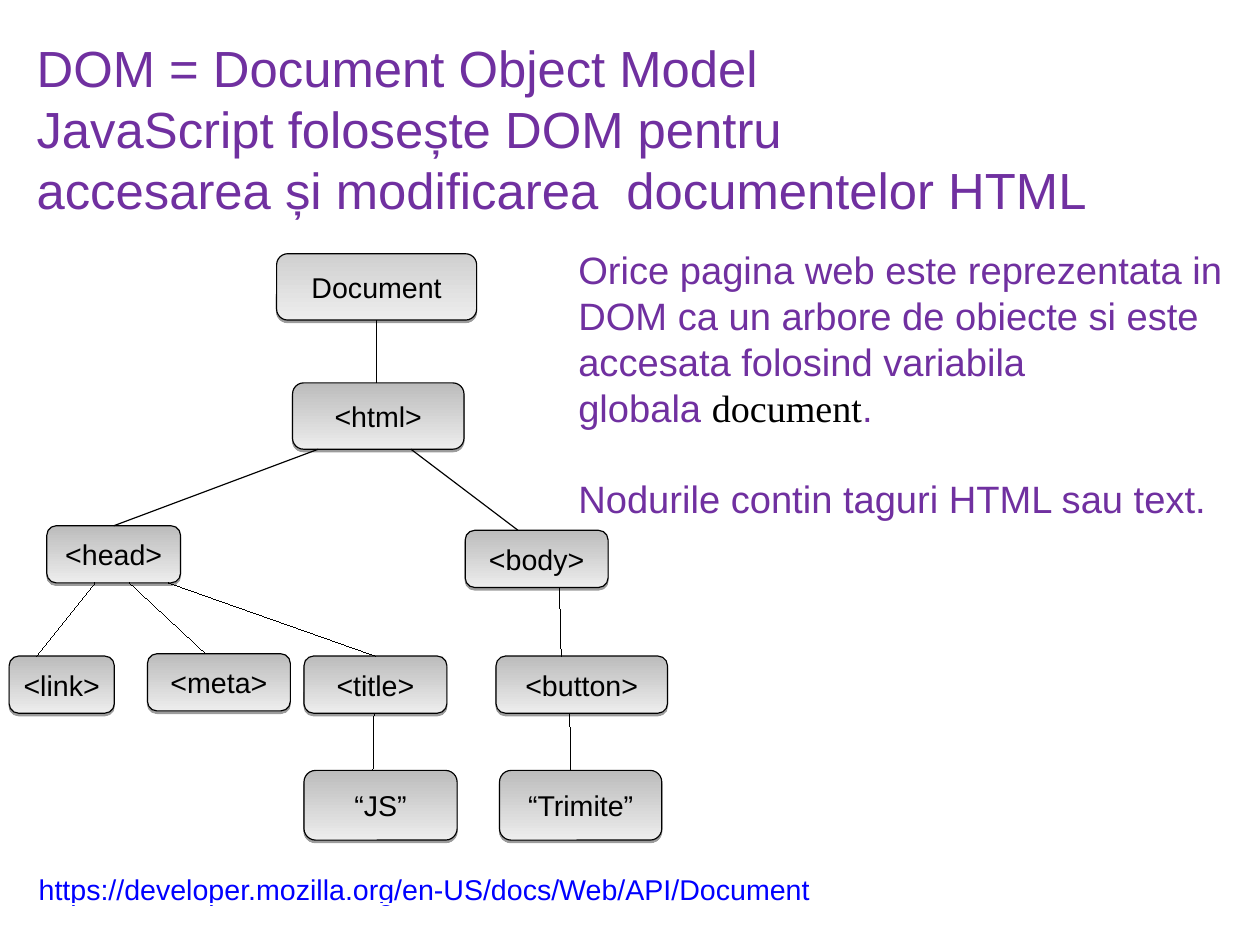
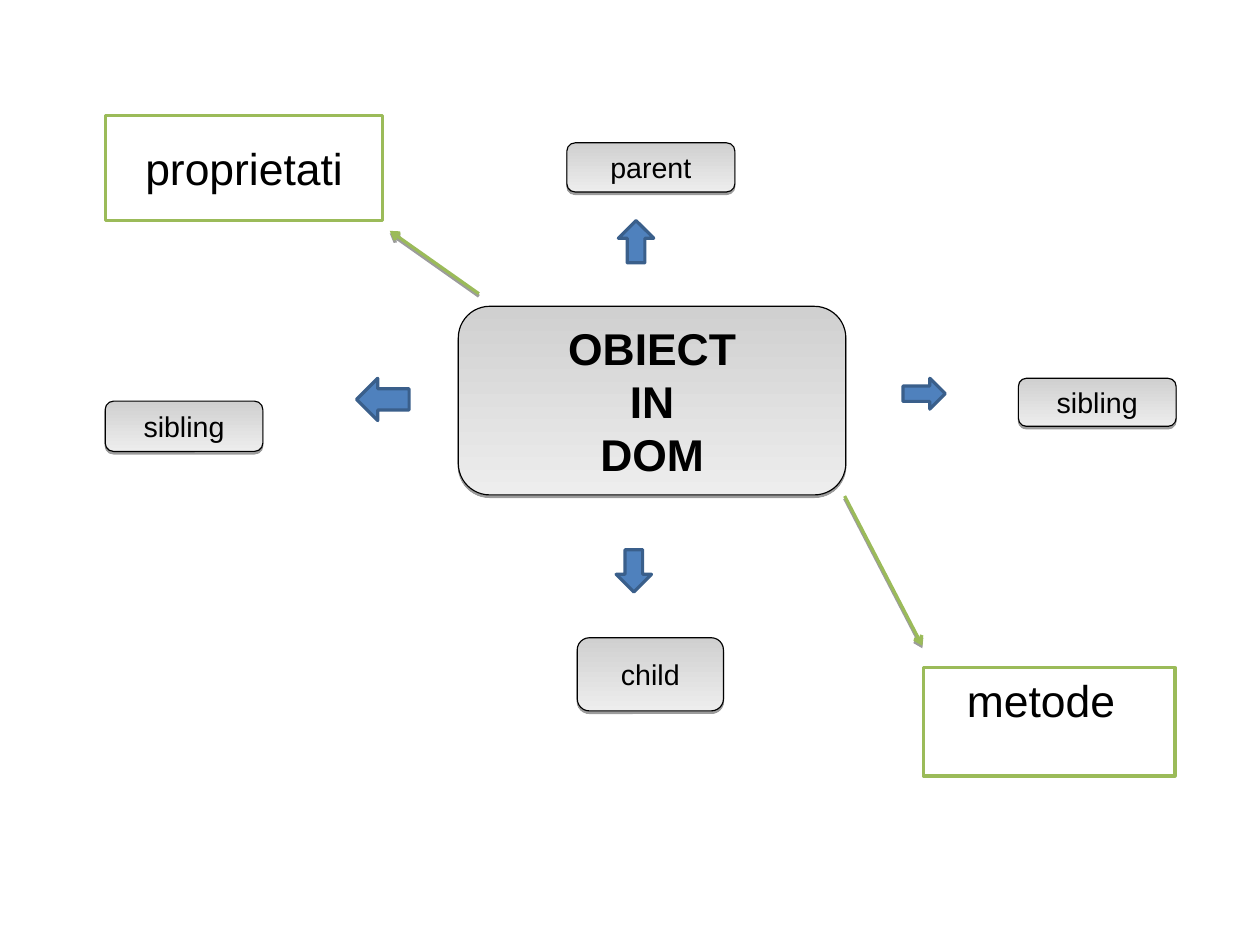
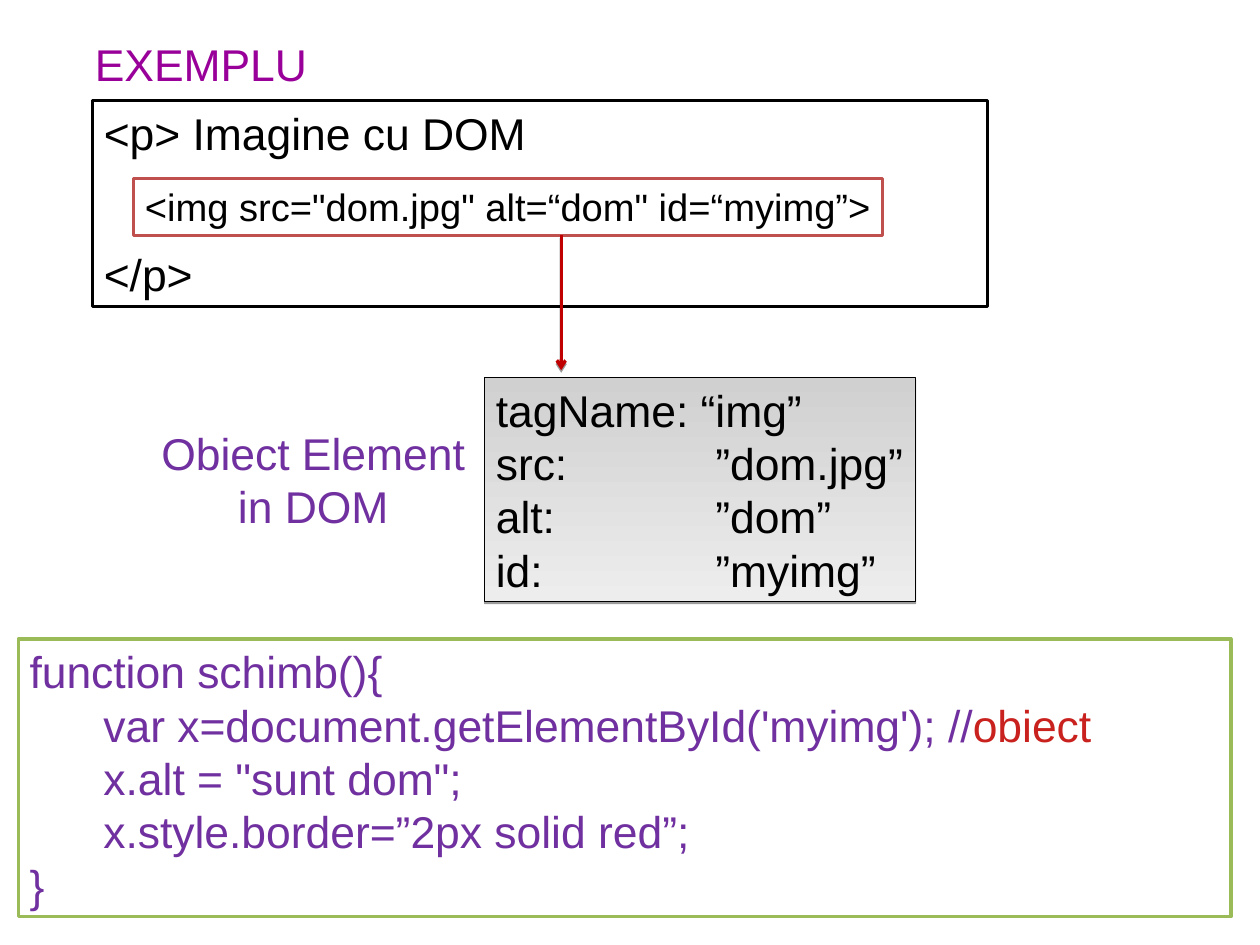
from collections import namedtuple

from lxml.etree import SubElement
from pptx import Presentation
from pptx.dml.color import RGBColor
from pptx.enum.shapes import MSO_CONNECTOR, MSO_SHAPE as SHAPE
from pptx.enum.text import MSO_ANCHOR as ANCHOR, MSO_AUTO_SIZE, PP_ALIGN as ALIGN
from pptx.oxml.ns import qn
from pptx.util import Inches, Mm, Pt

# The grid has square cells of a tenth of an inch.
CELL = 0.1
FONT, SERIF = "Arial", "Times New Roman"
BLACK, WHITE, PURPLE, MAGENTA = "000000", "FFFFFF", "7030A0", "990099"
GREEN, RED, DARK_RED, CODE_RED = "9BBB59", "C0504D", "C00000", "C9211E"
BLUE, DARK_BLUE, LINK = "4F81BD", "3A5F8B", "0000FF"
LIGHT_GREY, MID_GREY, PALE_GREY = "D0D0D0", "BCBCBC", "EDEDED"
LINE_HEIGHT = 1.2

Box = namedtuple("Box", "x y w h")


def cells(n):
    return Inches(n * CELL)


def rgb(color):
    return RGBColor.from_string(color)


def inside(box, x, y, w, h):
    """Box at an offset from the corner of another one."""
    return Box(box.x + x, box.y + y, w, h)


def place(sp, box):
    sp.left, sp.top, sp.width, sp.height = map(cells, box)


def set_effect(sp, shadow):
    """Replace the theme's effect by none, or by a thin shadow below."""
    effects = SubElement(sp.element.spPr, qn("a:effectLst"))
    if shadow:
        outer = SubElement(effects, qn("a:outerShdw"), blurRad="0",
                           dist=str(Pt(1.6)), dir="5400000", rotWithShape="0")
        clr = SubElement(outer, qn("a:srgbClr"), val=BLACK)
        SubElement(clr, qn("a:alpha"), val="38000")


def write(sp, paragraphs, size, color=BLACK, align=ALIGN.LEFT, anchor=ANCHOR.TOP,
          bold=False, wrap=True, sides=(1, 1)):
    """Fill a frame; a paragraph is a string or a list of (text, color, font)."""
    tf = sp.text_frame
    tf.auto_size, tf.word_wrap, tf.vertical_anchor = MSO_AUTO_SIZE.NONE, wrap, anchor
    tf.margin_left, tf.margin_right = map(cells, sides)
    tf.margin_top = tf.margin_bottom = cells(0.5)
    for i, runs in enumerate(paragraphs):
        p = tf.add_paragraph() if i else tf.paragraphs[0]
        p.alignment, p.line_spacing = align, Pt(size * LINE_HEIGHT)
        p.space_before = p.space_after = Pt(0)
        for text, tint, font in [(runs, color, FONT)] if isinstance(runs, str) else runs:
            r = p.add_run()
            r.text = text
            r.font.size, r.font.name, r.font.bold = Pt(size), font, bold
            r.font.color.rgb = rgb(tint)
    return tf


def add_title(s, box, lines, size, color):
    place(s.shapes.title, box)
    write(s.shapes.title, lines, size, color, sides=(1, 0))


def add_label(s, box, lines, size, color, **style):
    sp = s.shapes.add_textbox(*map(cells, box))
    return write(sp, lines, size, color, **style)


def add_panel(s, box, kind=SHAPE.RECTANGLE, fill=WHITE, line=BLACK, width=2):
    sp = s.shapes.add_shape(kind, *map(cells, box))
    if isinstance(fill, tuple):
        sp.fill.gradient()
        sp.fill.gradient_angle = 270
        for stop, color in zip(sp.fill.gradient_stops, fill):
            stop.color.rgb = rgb(color)
    else:
        sp.fill.solid()
        sp.fill.fore_color.rgb = rgb(fill)
    sp.line.color.rgb, sp.line.width = rgb(line), Pt(width)
    set_effect(sp, shadow=isinstance(fill, tuple))
    return sp


def add_node(s, box, lines, size=18, bold=False, top_color=LIGHT_GREY):
    sp = add_panel(s, box, SHAPE.ROUNDED_RECTANGLE, (top_color, PALE_GREY), width=0.75)
    write(sp, lines, size, align=ALIGN.CENTER, anchor=ANCHOR.MIDDLE, bold=bold)


def add_line(s, start, end, color=BLACK, width=0.75, arrow=False):
    """Straight line; a width of 0 gives a hairline."""
    c = s.shapes.add_connector(MSO_CONNECTOR.STRAIGHT, *map(cells, (*start, *end)))
    c.line.color.rgb = rgb(color)
    ln = c.element.spPr.find(qn("a:ln"))
    ln.set("w", str(Pt(width)))
    if arrow:
        SubElement(ln, qn("a:tailEnd"), type="arrow")
    set_effect(c, shadow=arrow)


def add_dom_tree(s, box):
    places = {
        "Document": (23.4, 0, 17.5, 5.8),
        "<html>": (24.8, 11.3, 15, 5.8),
        "<head>": (3.3, 23.8, 11.7, 5),
        "<body>": (39.9, 24.2, 12.5, 5),
        "<link>": (0, 35.2, 9.2, 5),
        "<meta>": (12.1, 35, 12.5, 5),
        "<title>": (25.8, 35.2, 12.5, 5),
        "<button>": (42.6, 35.2, 15, 5),
        "“JS”": (25.8, 45.2, 13.4, 6.1),
        "“Trimite”": (42.9, 45.2, 14.2, 6.1),
    }
    # Parent, share of its lower edge, child, share of its upper edge, width.
    links = [
        ("Document", 0.5, "<html>", 0.49, 0.75),
        ("<html>", 0.15, "<head>", 0.5, 0.75),
        ("<html>", 0.69, "<body>", 0.37, 0.75),
        ("<head>", 0.36, "<link>", 0.26, 0),
        ("<head>", 0.62, "<meta>", 0.41, 0),
        ("<head>", 0.91, "<title>", 0.5, 0),
        ("<title>", 0.49, "“JS”", 0.45, 0),
        ("<body>", 0.66, "<button>", 0.38, 0),
        ("<button>", 0.43, "“Trimite”", 0.44, 0),
    ]
    nodes = {name: inside(box, *at) for name, at in places.items()}
    for name, node in nodes.items():
        add_node(s, node, [name],
                 top_color=LIGHT_GREY if name == "Document" else MID_GREY)
    for parent, out, child, into, width in links:
        a, b = nodes[parent], nodes[child]
        add_line(s, (a.x + out * a.w, a.y + a.h), (b.x + into * b.w, b.y), width=width)


def add_explanation(s, box):
    body = s.placeholders[1]
    place(body, box)
    tf = write(body, [
        "Orice pagina web este reprezentata in DOM ca un arbore de obiecte "
        "si este accesata folosind variabila",
        [("globala ", PURPLE, FONT), ("document", BLACK, SERIF), (".", PURPLE, FONT)],
        "Nodurile contin taguri HTML sau text.",
    ], 24, PURPLE)
    for p in tf.paragraphs:
        pPr = p._p.get_or_add_pPr()
        pPr.set("marL", "0")
        pPr.set("indent", "0")
        SubElement(pPr, qn("a:buNone"))
    tf.paragraphs[-1].space_before = Pt(24 * LINE_HEIGHT)


def add_address(s, box):
    """Blue web address, underlined in the colour of the page."""
    tf = add_label(s, box, ["https://developer.mozilla.org/en-US/docs/Web/API/Document"],
                   18, LINK, wrap=False)
    r = tf.paragraphs[0].runs[0]
    r.font.underline = True
    rPr = r._r.get_or_add_rPr()
    under = SubElement(rPr, qn("a:uFill"))
    SubElement(SubElement(under, qn("a:solidFill")), qn("a:srgbClr"), val=WHITE)
    rPr.find(qn("a:solidFill")).addnext(under)


def add_object_map(s, box):
    add_node(s, inside(box, 30.9, 16.7, 33.9, 16.5), ["OBIECT", "IN", "DOM"], 28, True)
    for kind, at in [
        (SHAPE.RIGHT_ARROW, (69.8, 23, 3.7, 2.7)),
        (SHAPE.LEFT_ARROW, (22, 23, 4.6, 3.7)),
        (SHAPE.UP_ARROW, (44.9, 9.2, 3.1, 3.7)),
        (SHAPE.DOWN_ARROW, (44.7, 38, 3.1, 3.7)),
    ]:
        add_panel(s, inside(box, *at), kind, BLUE, DARK_BLUE)
    for name, at in [
        ("parent", (40.4, 2.4, 14.7, 4.3)),
        ("sibling", (0, 25, 13.8, 4.4)),
        ("sibling", (79.9, 23, 13.8, 4.2)),
        ("child", (41.3, 45.7, 12.8, 6.4)),
    ]:
        add_node(s, inside(box, *at), [name])
    properties = add_panel(s, inside(box, 0, 0, 24.3, 9.2), line=GREEN)
    write(properties, ["proprietati"], 28, align=ALIGN.CENTER, anchor=ANCHOR.MIDDLE)
    methods = add_panel(s, inside(box, 71.6, 48.3, 22, 9.5), line=GREEN)
    write(methods, ["metode"], 28, sides=(3.8, 0))
    for start, end in [((32.7, 15.6), (24.9, 10.1)), ((64.7, 33.3), (71.5, 46.4))]:
        add_line(s, inside(box, *start, 0, 0)[:2], inside(box, *end, 0, 0)[:2],
                 GREEN, 2, arrow=True)


def add_markup(s, box):
    """HTML paragraph with its image tag and an arrow leading down from it."""
    tf = write(add_panel(s, box), ["<p> Imagine cu DOM", "</p>"], 28)
    tf.paragraphs[1].space_before = Pt(55)
    tag = inside(box, 3.6, 6.8, 65.5, 5)
    write(add_panel(s, tag, line=RED), ['<img src="dom.jpg" alt=“dom" id=“myimg”>'], 24,
          sides=(1, 0))
    x, y = box.x + 41, tag.y + tag.h
    add_line(s, (x, y), (x, y + 11.8), DARK_RED, 2, arrow=True)


def add_element_object(s, box):
    add_label(s, inside(box, 0, 3.8, 28.6, 13.3), ["Obiect Element", "in DOM"], 28, PURPLE,
              align=ALIGN.CENTER, sides=(0, 0))
    card = add_panel(s, inside(box, 29.3, 0, 37.7, box.h), fill=(LIGHT_GREY, PALE_GREY),
                     width=0.75)
    tf = write(card, ["tagName: “img”", "src:\t”dom.jpg”", "alt:\t”dom”", "id:\t”myimg”"],
               28, sides=(1, 0))
    for p in tf.paragraphs[1:]:
        tabs = SubElement(p._p.get_or_add_pPr(), qn("a:tabLst"))
        SubElement(tabs, qn("a:tab"), pos=str(cells(19.2)), algn="l")


def add_code(s, box):
    write(add_panel(s, box, line=GREEN), [
        "function schimb(){",
        [("      var x=document.getElementById('myimg'); //", PURPLE, FONT),
         ("obiect", CODE_RED, FONT)],
        '      x.alt = "sunt dom";',
        "      x.style.border=”2px solid red”;",
        "}",
    ], 28, PURPLE)


def main():
    prs = Presentation()
    prs.slide_width, prs.slide_height = Mm(280), Mm(210)
    prs.element.sldSz.attrib.pop("type", None)
    content, title_only, blank = (prs.slide_layouts[i] for i in (1, 5, 6))

    s = prs.slides.add_slide(content)
    add_title(s, Box(2.2, 2.7, 100, 23.7), [
        "DOM = Document Object Model",
        "JavaScript folosește DOM pentru",
        "accesarea și modificarea  documentelor HTML",
    ], 32, PURPLE)
    add_dom_tree(s, Box(0.8, 22.2, 57.6, 51.3))
    add_explanation(s, Box(49.6, 21.1, 59.4, 28.9))
    add_address(s, Box(2.4, 75.8, 69.3, 4))

    s = prs.slides.add_slide(blank)
    add_object_map(s, Box(9.2, 10.1, 93.6, 57.8))

    s = prs.slides.add_slide(title_only)
    add_title(s, Box(7.3, 2.7, 20.5, 5.3), ["EXEMPLU"], 28, MAGENTA)
    add_markup(s, Box(8.1, 8.8, 78.3, 18))
    add_element_object(s, Box(13.1, 33, 67, 19.6))
    add_code(s, Box(1.6, 55.9, 106.1, 24.3))

    prs.save("out.pptx")


if __name__ == "__main__":
    main()
